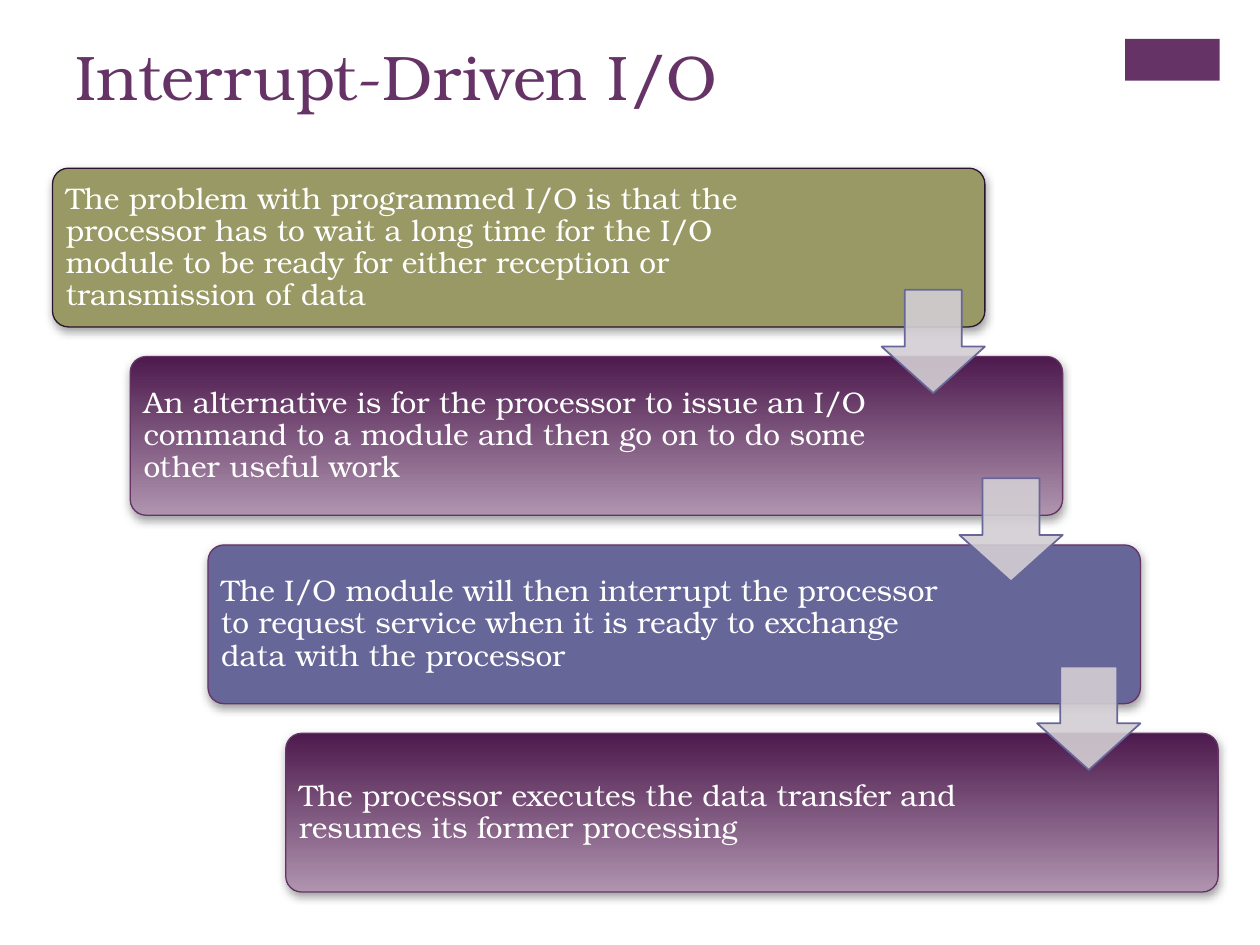
from dataclasses import dataclass

from lxml.etree import SubElement
from pptx import Presentation
from pptx.dml.color import RGBColor
from pptx.enum.shapes import MSO_SHAPE
from pptx.enum.text import MSO_ANCHOR
from pptx.oxml.ns import qn
from pptx.util import Inches, Pt


@dataclass(frozen=True)
class Theme:
    font: str = "TeX Gyre Bonum"
    title_size: int = 36
    body_size: int = 17
    plum: str = "663366"
    olive: str = "999966"
    indigo: str = "666699"
    white: str = "FFFFFF"
    dark_edge: str = "2B142D"
    arrow: str = "D3CED3"
    shadow: str = "808080"
    gradient: tuple = ("4D1A4D", "AF94AF")


class Deck:
    columns, rows = 100, 75

    def __init__(self, theme):
        self.theme = theme
        self.presentation = Presentation()
        self.presentation.slide_width = Inches(10)
        self.presentation.slide_height = Inches(7.5)
        self.slide = self.presentation.slides.add_slide(self.presentation.slide_layouts[6])

    def place(self, column, row, width, height):
        across = self.presentation.slide_width / self.columns
        down = self.presentation.slide_height / self.rows
        return int(column * across), int(row * down), int(width * across), int(height * down)

    def shape(self, preset, cell, fill, edge=None, weight=0.75, adjustments=()):
        shape = self.slide.shapes.add_shape(preset, *self.place(*cell))
        shape.shadow.inherit = False
        for index, value in enumerate(adjustments):
            shape.adjustments[index] = value
        if isinstance(fill, tuple):
            shape.fill.gradient()
            shape.fill.gradient_angle = 270
            for stop, color, position in zip(shape.fill.gradient_stops, fill, (0, 1)):
                stop.color.rgb = RGBColor.from_string(color)
                stop.position = position
        else:
            shape.fill.solid()
            shape.fill.fore_color.rgb = RGBColor.from_string(fill)
        if edge:
            shape.line.color.rgb = RGBColor.from_string(edge)
            shape.line.width = Pt(weight)
        else:
            shape.line.fill.background()
        return shape

    def text(self, cell, wording, size, color, anchor, inset, spacing=None):
        frame = self.slide.shapes.add_textbox(*self.place(*cell)).text_frame
        frame.word_wrap = True
        frame.vertical_anchor = anchor
        frame.margin_left = frame.margin_right = Inches(inset[0])
        frame.margin_top = frame.margin_bottom = Inches(inset[1])
        paragraph = frame.paragraphs[0]
        if spacing:
            paragraph.line_spacing = spacing
        run = paragraph.add_run()
        run.text = wording
        run.font.name = self.theme.font
        run.font.size = Pt(size)
        run.font.color.rgb = RGBColor.from_string(color)

    def title(self, cell, wording):
        self.text(cell, wording, self.theme.title_size, self.theme.plum,
                  MSO_ANCHOR.TOP, (0.1, 0.05))

    def step(self, column, row, width, height, wording, fill, edge):
        panel = self.shape(MSO_SHAPE.ROUNDED_RECTANGLE, (column, row, width, height),
                           fill, edge, adjustments=(0.1,))
        effects = panel._element.spPr.find(qn("a:effectLst"))
        shadow = SubElement(effects, qn("a:outerShdw"), blurRad=str(Pt(5)), dist=str(Pt(2)),
                            dir="5400000", rotWithShape="0")
        tone = SubElement(shadow, qn("a:srgbClr"), val=self.theme.shadow)
        SubElement(tone, qn("a:alpha"), val="75000")
        self.text((column + 0.35, row + 0.35, 58.9, height - 0.7), wording,
                  self.theme.body_size, self.theme.white, MSO_ANCHOR.MIDDLE, (0.07, 0.07), 0.9)

    def arrow(self, column, row, size):
        arrow = self.shape(MSO_SHAPE.DOWN_ARROW, (column, row, size, size), self.theme.arrow,
                           self.theme.indigo, 1, (0.55, 0.45))
        tone = arrow._element.spPr.find(qn("a:solidFill")).find(qn("a:srgbClr"))
        SubElement(tone, qn("a:alpha"), val="90000")


def main():
    theme = Theme()
    deck = Deck(theme)
    deck.shape(MSO_SHAPE.RECTANGLE, (89.3, 3.1, 7.5, 3.3), theme.plum)
    deck.title((5, 2.5, 82.6, 12.2), "Interrupt-Driven I/O")

    steps = (
        ("The problem with programmed I/O is that the processor has to wait a long time "
         "for the I/O module to be ready for either reception or transmission of data",
         theme.olive, theme.dark_edge),
        ("An alternative is for the processor to issue an I/O command to a module "
         "and then go on to do some other useful work", theme.gradient, theme.plum),
        ("The I/O module will then interrupt the processor to request service "
         "when it is ready to exchange data with the processor", theme.indigo, theme.plum),
        ("The processor executes the data transfer and resumes its former processing",
         theme.gradient, theme.plum),
    )
    left, top, width, height = 4.17, 13.35, 74, 12.6
    shift, drop, arrow_size = 6.17, 14.95, 8.2
    for index, (wording, fill, edge) in enumerate(steps):
        deck.step(left + index * shift, top + index * drop, width, height, wording, fill, edge)
    for index in range(len(steps) - 1):
        deck.arrow(left + width - arrow_size + index * shift, top + 9.65 + index * drop,
                   arrow_size)

    deck.presentation.save("out.pptx")


if __name__ == "__main__":
    main()
